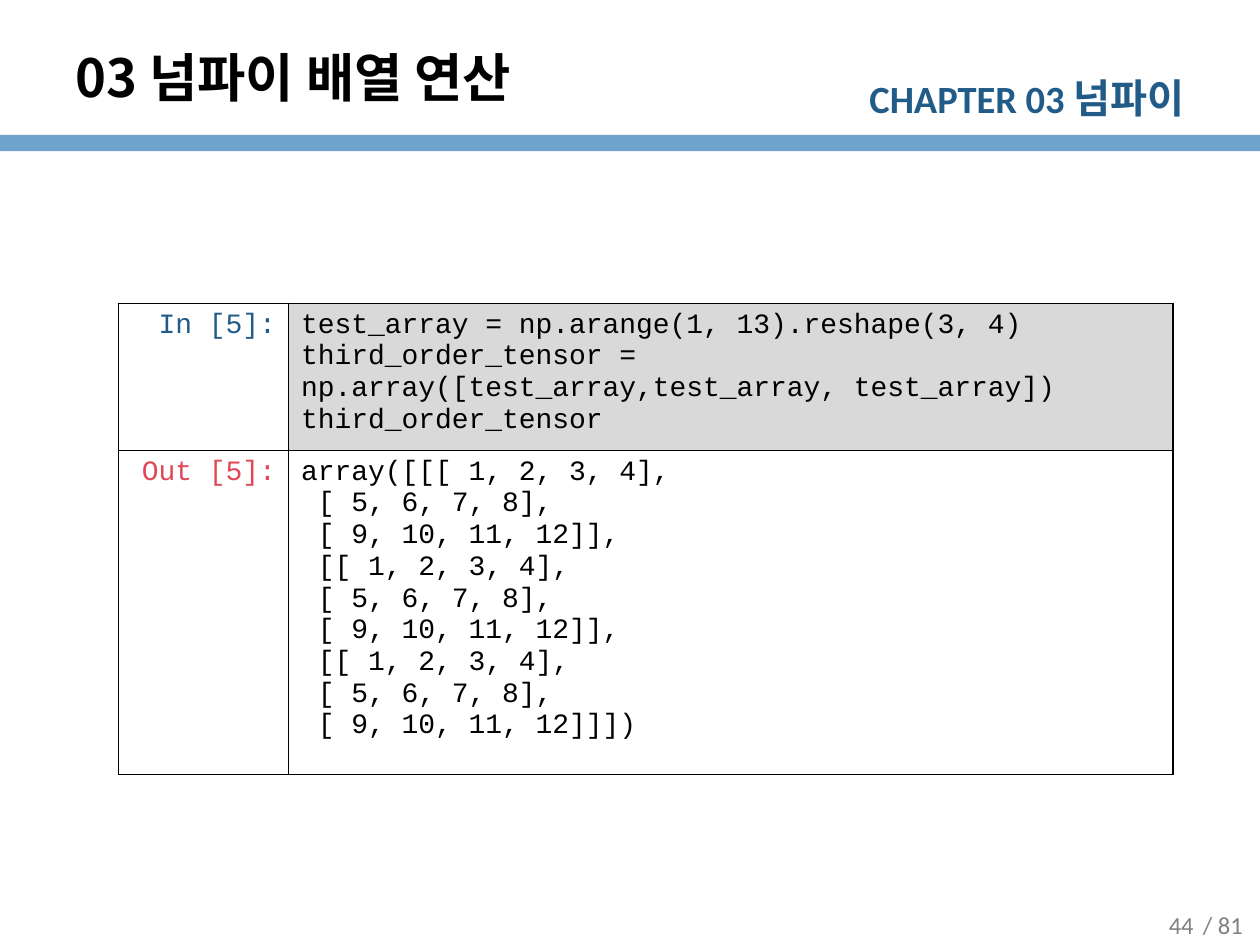
from lxml import etree
from pptx import Presentation
from pptx import util as u
from pptx.dml.color import RGBColor
from pptx.enum import shapes, text
from pptx.oxml.ns import qn

COLORS = {
    "bar": "71A4CC",
    "navy": "215C88",
    "gray": "808080",
    "black": "000000",
    "code": "D9D9D9",
    "red": "DF4857",
}
ALIGN = text.PP_ALIGN
KOREAN = "Noto Sans CJK KR"

INPUT_CODE = [
    "test_array = np.arange(1, 13).reshape(3, 4)",
    "third_order_tensor = np.array([test_array,test_array, test_array])",
    "third_order_tensor",
]
OUTPUT_CODE = [
    "array([[[ 1, 2, 3, 4],",
    " [ 5, 6, 7, 8],",
    " [ 9, 10, 11, 12]],",
    " [[ 1, 2, 3, 4],",
    " [ 5, 6, 7, 8],",
    " [ 9, 10, 11, 12]],",
    " [[ 1, 2, 3, 4],",
    " [ 5, 6, 7, 8],",
    " [ 9, 10, 11, 12]]])",
]


class SlideBuilder:
    def __init__(self, slide):
        self.slide = slide

    def color(self, key):
        return RGBColor.from_string(COLORS[key])

    def place(self, item, box):
        for side, value in zip(("left", "top", "width", "height"), box):
            setattr(item, side, u.Inches(value))

    def run(self, paragraph, words, size, color, font="Calibri", bold=False):
        run = paragraph.add_run()
        run.text = words
        style = {"size": u.Pt(size), "name": font, "bold": bold}
        for name, value in style.items():
            setattr(run.font, name, value)
        run.font.color.rgb = self.color(color)
        east_asian = KOREAN if font == "Calibri" else font
        etree.SubElement(run.font._element, qn("a:ea"), typeface=east_asian)

    def title(self, words, box):
        heading = self.slide.shapes.title
        self.place(heading, box)
        frame = heading.text_frame
        frame.vertical_anchor = text.MSO_ANCHOR.MIDDLE
        frame.paragraphs[0].alignment = ALIGN.LEFT
        self.run(frame.paragraphs[0], words, 30, "black", KOREAN, True)

    def bar(self, box, color):
        band = self.slide.shapes.add_shape(
            shapes.MSO_SHAPE.RECTANGLE, *map(u.Inches, box))
        band.shadow.inherit = False
        band.fill.solid()
        band.fill.fore_color.rgb = self.color(color)
        band.line.fill.background()

    def label(self, parts, box, color, align, anchor, bold=False):
        frame = self.slide.shapes.add_textbox(*map(u.Inches, box)).text_frame
        frame.word_wrap = True
        frame.vertical_anchor = anchor
        frame.paragraphs[0].alignment = align
        for words, size in parts:
            self.run(frame.paragraphs[0], words, size, color, bold=bold)

    def borders(self, cell):
        properties = cell._tc.get_or_add_tcPr()
        for index, side in enumerate(("lnL", "lnR", "lnT", "lnB")):
            line = etree.Element(qn(f"a:{side}"), w=str(u.Pt(1)))
            fill = etree.SubElement(line, qn("a:solidFill"))
            etree.SubElement(fill, qn("a:srgbClr"), val=COLORS["black"])
            properties.insert(index, line)

    def cell(self, cell, lines, color, align, fill=None):
        if fill:
            cell.fill.solid()
            cell.fill.fore_color.rgb = self.color(fill)
        else:
            cell.fill.background()
        self.borders(cell)
        frame = cell.text_frame
        for index, line in enumerate(lines):
            paragraph = frame.add_paragraph() if index else frame.paragraphs[0]
            paragraph.alignment = align
            self.run(paragraph, line, 16, color, "Courier New")

    def notebook(self, entries, box, widths, heights):
        table = self.slide.shapes.add_table(
            len(entries), 2, *map(u.Inches, box)).table
        table.first_row = table.horz_banding = False
        for column, width in zip(table.columns, widths):
            column.width = u.Inches(width)
        for row, height, entry in zip(table.rows, heights, entries):
            row.height = u.Inches(height)
            prompt, prompt_color, code, fill = entry
            self.cell(row.cells[0], [prompt], prompt_color, ALIGN.RIGHT)
            self.cell(row.cells[1], code, "black", ALIGN.LEFT, fill)


def main():
    deck = Presentation()
    deck.slide_width, deck.slide_height = u.Inches(10), u.Inches(7.5)
    page = SlideBuilder(deck.slides.add_slide(deck.slide_layouts[5]))
    anchors = text.MSO_ANCHOR

    page.bar((0, 1.07, 10, 0.13), "bar")
    page.label([("CHAPTER 03 ", 22), ("넘파이", 23)], (6.62, 0.53, 2.88, 0.48),
               "navy", ALIGN.RIGHT, anchors.TOP, bold=True)
    for words, left in (("/ 81", 9.35), ("44", 9.02)):
        page.label([(words, 14)], (left, 7.14, 0.71, 0.39),
                   "gray", ALIGN.CENTER, anchors.MIDDLE)
    page.title("03 넘파이 배열 연산", (0.5, 0.3, 7.83, 0.62))
    page.notebook(
        [("In [5]:", "navy", INPUT_CODE, "code"),
         ("Out [5]:", "red", OUTPUT_CODE, None)],
        (0.94, 2.41, 8.37, 3.54), (1.35, 7.02), (0.97, 2.57))

    deck.save("out.pptx")


if __name__ == "__main__":
    main()
